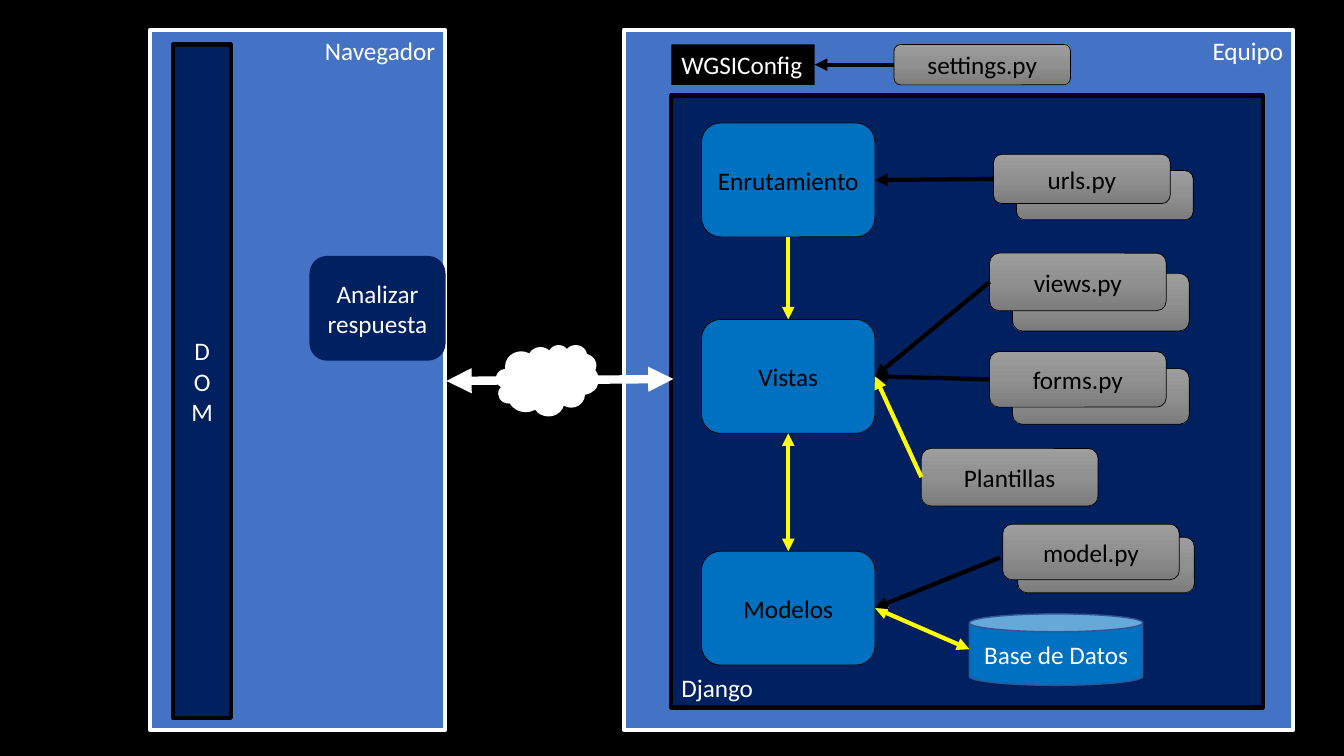
from copy import deepcopy

from lxml.etree import SubElement
from pptx import Presentation
from pptx.dml.color import RGBColor
from pptx.enum.shapes import MSO_CONNECTOR, MSO_SHAPE as SHAPE
from pptx.enum.text import MSO_ANCHOR as ANCHOR, MSO_AUTO_SIZE, PP_ALIGN as ALIGN
from pptx.oxml.ns import qn
from pptx.util import Cm, Pt

BLACK = RGBColor(0x00, 0x00, 0x00)
WHITE = RGBColor(0xFF, 0xFF, 0xFF)
YELLOW = RGBColor(0xFF, 0xFF, 0x00)
HOST_BLUE = RGBColor(0x44, 0x72, 0xC4)
NAVY = RGBColor(0x00, 0x20, 0x60)
STAGE_BLUE = RGBColor(0x00, 0x70, 0xC0)
DATABASE_EDGE = RGBColor(0x32, 0x54, 0x91)
GRAYS = [(0, RGBColor(0x9D, 0x9D, 0x9D)),
         (0.5, RGBColor(0x90, 0x90, 0x90)),
         (1, RGBColor(0x7C, 0x7C, 0x7C))]

# All places and sizes are in centimetres.
HOSTS = [("Equipo", 15.72, 16.87), ("Navegador", 3.78, 7.44)]  # left, width
HOST_TOP, HOST_HEIGHT = 0.76, 17.63

STAGES = [("Enrutamiento", 3.1), ("Vistas", 8.05), ("Modelos", 13.89)]  # top
STAGE_LEFT, STAGE_WIDTH, STAGE_HEIGHT = 17.68, 4.37, 2.87

# name, left, top, height, offset of the card behind
FILES = [
    ("settings.py", 22.53, 1.12, 1.02, None),
    ("urls.py", 25.04, 3.89, 1.24, (0.58, 0.41)),
    ("views.py", 24.94, 6.38, 1.45, (0.58, 0.51)),
    ("forms.py", 24.94, 8.86, 1.4, (0.58, 0.43)),
    ("Plantillas", 23.22, 11.3, 1.45, None),
    ("model.py", 25.27, 13.21, 1.4, (0.38, 0.33)),
]
FILE_WIDTH = 4.45

# from, side, to, side, colour, both ends
TOP, LEFT, BOTTOM, RIGHT = range(4)
LINKS = [
    ("settings.py", LEFT, "WGSIConfig", RIGHT, BLACK, False),
    ("urls.py", LEFT, "Enrutamiento", RIGHT, BLACK, False),
    ("views.py", LEFT, "Vistas", RIGHT, BLACK, False),
    ("forms.py", LEFT, "Vistas", RIGHT, BLACK, False),
    ("Plantillas", LEFT, "Vistas", RIGHT, YELLOW, False),
    ("Enrutamiento", BOTTOM, "Vistas", TOP, YELLOW, False),
    ("Modelos", TOP, "Vistas", BOTTOM, YELLOW, True),
]
MODELS_ENTRY = (STAGE_LEFT + STAGE_WIDTH, 15.32)
# from, to, colour, width, both ends
FREE_ARROWS = [
    ((24.43, 16.36), MODELS_ENTRY, YELLOW, 3, True),
    ((25.2, 14.05), MODELS_ENTRY, BLACK, 3, False),
    ((11.25, 9.6), (16.97, 9.55), WHITE, 6, True),
]

prs = Presentation()
prs.slide_width, prs.slide_height = Cm(33.87), Cm(19.05)
slide = prs.slides.add_slide(prs.slide_layouts[6])
slide.background.fill.solid()
slide.background.fill.fore_color.rgb = BLACK
placed = {}


def add_box(kind, place, fill, text="", color=WHITE, edge=None, width=0.5,
            align=ALIGN.CENTER, anchor=ANCHOR.MIDDLE):
    sp = slide.shapes.add_shape(kind, *map(Cm, place))
    sp.shadow.inherit = False
    if fill is GRAYS:
        fill_gray(sp)
    else:
        sp.fill.solid()
        sp.fill.fore_color.rgb = fill
    if edge is None:
        sp.line.fill.background()
    else:
        sp.line.color.rgb = edge
        sp.line.width = Pt(width)
    if text:
        tf = sp.text_frame
        tf.text = text
        tf.vertical_anchor = anchor
        for p in tf.paragraphs:
            p.alignment = align
            for r in p.runs:
                r.font.name, r.font.size = "Calibri", Pt(18)
                r.font.color.rgb = color
        placed[text] = sp
    return sp


def fill_gray(sp):
    """Vertical three-stop gradient; python-pptx starts with two stops."""
    sp.fill.gradient()
    sp.fill.gradient_angle = 270
    stops = sp._element.spPr.find(".//" + qn("a:gsLst"))
    stops.insert(1, deepcopy(stops[0]))
    for stop, (position, gray) in zip(sp.fill.gradient_stops, GRAYS):
        stop.position = position
        stop.color.rgb = gray


def add_arrow(start, end, color, width, both):
    line = slide.shapes.add_connector(
        MSO_CONNECTOR.STRAIGHT, *map(Cm, (*start, *end)))
    line.line.color.rgb = color
    line.line.width = Pt(width)
    ln = line.line._get_or_add_ln()
    for tag in ("a:headEnd", "a:tailEnd") if both else ("a:tailEnd",):
        SubElement(ln, qn(tag), type="triangle")
    SubElement(line._element.spPr, qn("a:effectLst"))
    return line


for name, left, width in HOSTS:
    add_box(SHAPE.RECTANGLE, (left, HOST_TOP, width, HOST_HEIGHT), HOST_BLUE,
            name, edge=WHITE, width=3, align=ALIGN.RIGHT, anchor=ANCHOR.TOP)
add_box(SHAPE.RECTANGLE, (16.92, 2.41, 14.91, 15.42), NAVY, "Django",
        edge=BLACK, width=3, align=ALIGN.LEFT, anchor=ANCHOR.BOTTOM)
config = add_box(SHAPE.RECTANGLE, (16.92, 1.12, 3.61, 1.02), BLACK,
                 "WGSIConfig", align=ALIGN.LEFT, anchor=ANCHOR.TOP)
config.text_frame.word_wrap = False
config.text_frame.auto_size = MSO_AUTO_SIZE.SHAPE_TO_FIT_TEXT

for name, top in STAGES:
    add_box(SHAPE.ROUNDED_RECTANGLE,
            (STAGE_LEFT, top, STAGE_WIDTH, STAGE_HEIGHT),
            STAGE_BLUE, name, BLACK, BLACK)
add_box(SHAPE.CAN, (24.43, 15.47, 4.37, 1.8), STAGE_BLUE, "Base de Datos",
        edge=DATABASE_EDGE, width=1)

for name, left, top, height, offset in FILES:
    if offset:
        add_box(SHAPE.ROUNDED_RECTANGLE,
                (left + offset[0], top + offset[1], FILE_WIDTH, height),
                GRAYS, edge=BLACK)
    add_box(SHAPE.ROUNDED_RECTANGLE, (left, top, FILE_WIDTH, height),
            GRAYS, name, BLACK, BLACK)

add_box(SHAPE.RECTANGLE, (4.37, 1.12, 1.45, 16.97), NAVY, "D\nO\nM",
        edge=BLACK, width=3)
add_box(SHAPE.ROUNDED_RECTANGLE, (7.8, 6.45, 3.43, 2.64), NAVY,
        "Analizar respuesta")
cloud = add_box(SHAPE.CLOUD_CALLOUT, (12.5, 8.69, 2.59, 1.8), WHITE)
cloud.adjustments[0], cloud.adjustments[1] = 0.254, 0.041

for source, source_side, target, target_side, color, both in LINKS:
    link = add_arrow((0, 0), (0, 0), color, 3, both)
    link.begin_connect(placed[source], source_side)
    link.end_connect(placed[target], target_side)
for arrow in FREE_ARROWS:
    add_arrow(*arrow)

prs.save("out.pptx")
